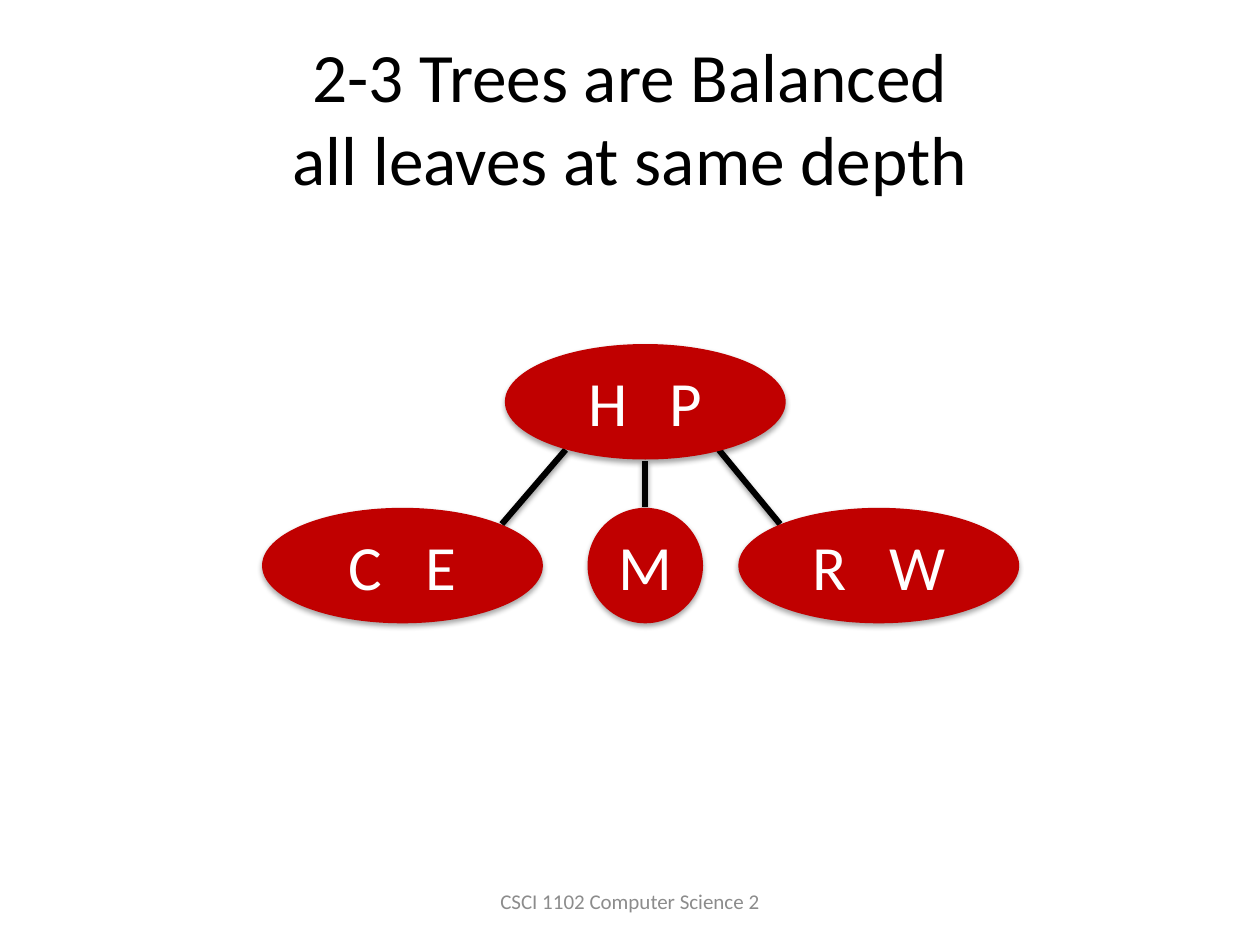
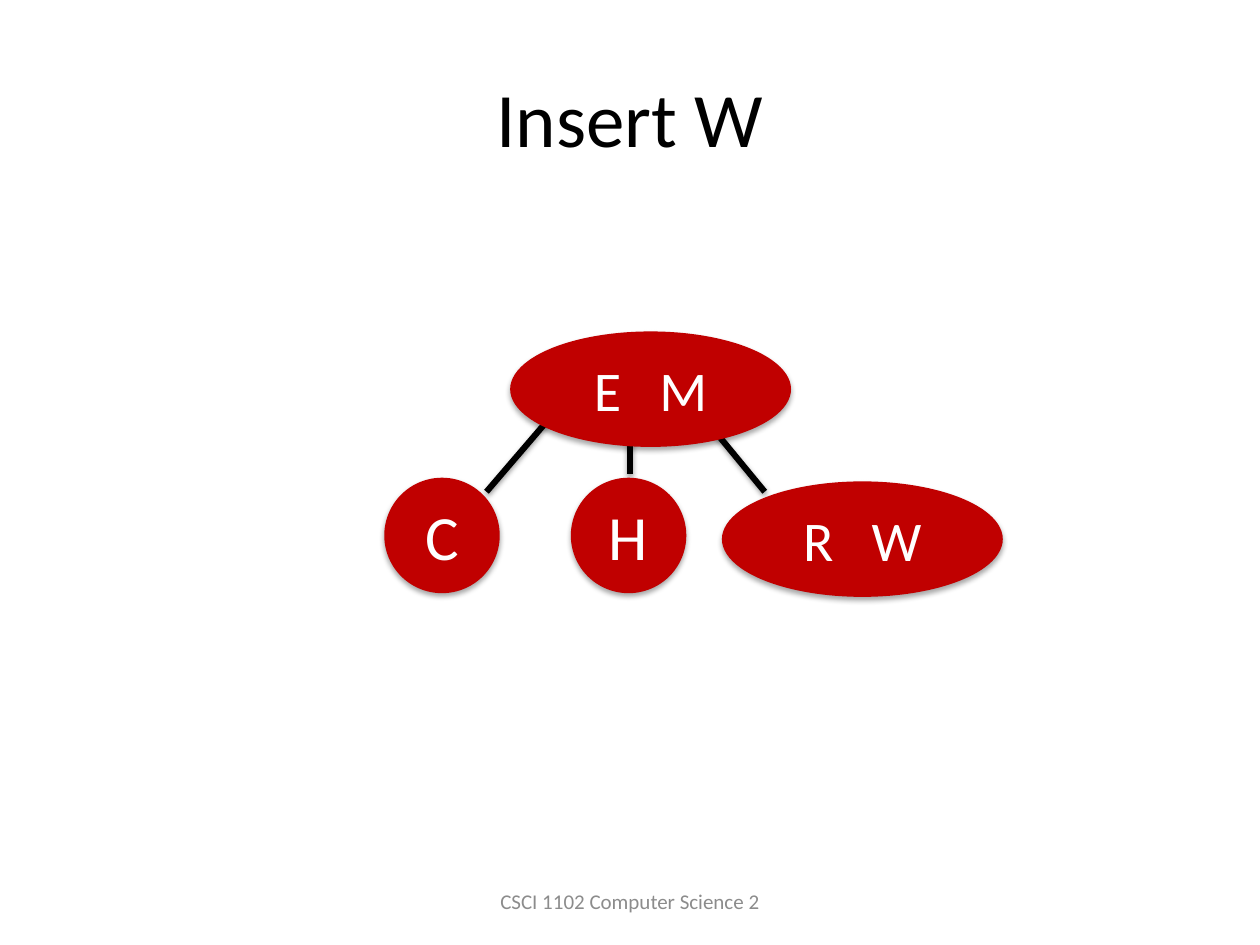
import lxml.etree
import pptx
import pptx.dml.color
import pptx.enum.shapes
import pptx.enum.text
import pptx.oxml.ns
import pptx.util

FONT = "Calibri"
RED = "C00000"
WHITE = "FFFFFF"
BLACK = "000000"
GREY = "8C8C8C"
NODE_HEIGHT = 66
NODE_WIDTHS = {1: 66, 2: 160.5}
KEY_GAP = 0.45
EDGE_FAN = [
    ((-45.5, 0), (-82, 42.5)),
    ((0, 6.5), (0, 32.5)),
    ((42, 0), (77, 42.5)),
]


def points(*lengths):
    return [pptx.util.Pt(length) for length in lengths]


def color(value):
    return pptx.dml.color.RGBColor.from_string(value)


def add_span(para, text, size, hue):
    span = para.add_run()
    span.text = text
    span.font.name = FONT
    span.font.size = pptx.util.Pt(size)
    span.font.color.rgb = color(hue)
    return span


def center_text(frame):
    frame.word_wrap = True
    frame.vertical_anchor = pptx.enum.text.MSO_ANCHOR.MIDDLE
    para = frame.paragraphs[0]
    para.alignment = pptx.enum.text.PP_ALIGN.CENTER
    return para


def cast_shadow(shape, distance, opacity):
    name = pptx.oxml.ns.qn
    effects = lxml.etree.SubElement(shape._element.spPr, name("a:effectLst"))
    shadow = lxml.etree.SubElement(
        effects, name("a:outerShdw"), blurRad=str(pptx.util.Pt(3.1)),
        dist=str(pptx.util.Pt(distance)), dir="5400000", rotWithShape="0")
    tint = lxml.etree.SubElement(shadow, name("a:srgbClr"), val=BLACK)
    lxml.etree.SubElement(tint, name("a:alpha"), val=str(opacity * 1000))


def add_title(page, lines, size):
    title = page.shapes.title
    title.left, title.top, title.width, title.height = points(36, 21.6, 648, 90)
    title.text_frame.auto_size = pptx.enum.text.MSO_AUTO_SIZE.NONE
    para = center_text(title.text_frame)
    for index, line in enumerate(lines):
        if index:
            para.add_line_break()
        add_span(para, line, size, BLACK)


def add_footer(page):
    box = page.shapes.add_textbox(*points(246, 500.5, 228, 28.75))
    add_span(center_text(box.text_frame), "CSCI 1102 Computer Science 2", 12, GREY)


def add_edges(page, x, y):
    for (start_x, start_y), (end_x, end_y) in EDGE_FAN:
        edge = page.shapes.add_connector(
            pptx.enum.shapes.MSO_CONNECTOR.STRAIGHT,
            *points(x + start_x, y + start_y, x + end_x, y + end_y))
        edge.line.color.rgb = color(BLACK)
        edge.line.width = pptx.util.Pt(3.5)
        cast_shadow(edge, 1.6, 38)


def add_node(page, keys, x, y, size=36):
    width = NODE_WIDTHS[len(keys)]
    node = page.shapes.add_shape(
        pptx.enum.shapes.MSO_SHAPE.OVAL,
        *points(x - width / 2, y - NODE_HEIGHT / 2, width, NODE_HEIGHT))
    node.fill.solid()
    node.fill.fore_color.rgb = color(RED)
    node.line.fill.background()
    cast_shadow(node, 1.8, 35)
    para = center_text(node.text_frame)
    for index, key in enumerate(keys):
        if index:
            gap = add_span(para, " ", size, WHITE)
            gap.font._element.set("spc", str(round(size * KEY_GAP * 100)))
        add_span(para, key, size, WHITE)


def add_page(deck, title_lines, title_size, fan, nodes):
    page = deck.slides.add_slide(deck.slide_layouts[5])
    add_title(page, title_lines, title_size)
    add_footer(page)
    add_edges(page, *fan)
    for node in nodes:
        add_node(page, *node)


def main():
    deck = pptx.Presentation()
    deck.slide_width, deck.slide_height = points(720, 540)
    add_page(
        deck, ["2-3 Trees are Balanced", "all leaves at same depth"], 39.6,
        (368.75, 257),
        [("HP", 368.75, 229.6), ("CE", 230, 323.2),
         ("M", 368.75, 323.2), ("RW", 502.2, 323.2)])
    add_page(
        deck, ["Insert W"], 44,
        (360, 238.5),
        [("EM", 371.8, 222.4, 32), ("C", 252.6, 306),
         ("H", 359.2, 306), ("RW", 492.8, 308.1, 32)])
    deck.save("out.pptx")


if __name__ == "__main__":
    main()
